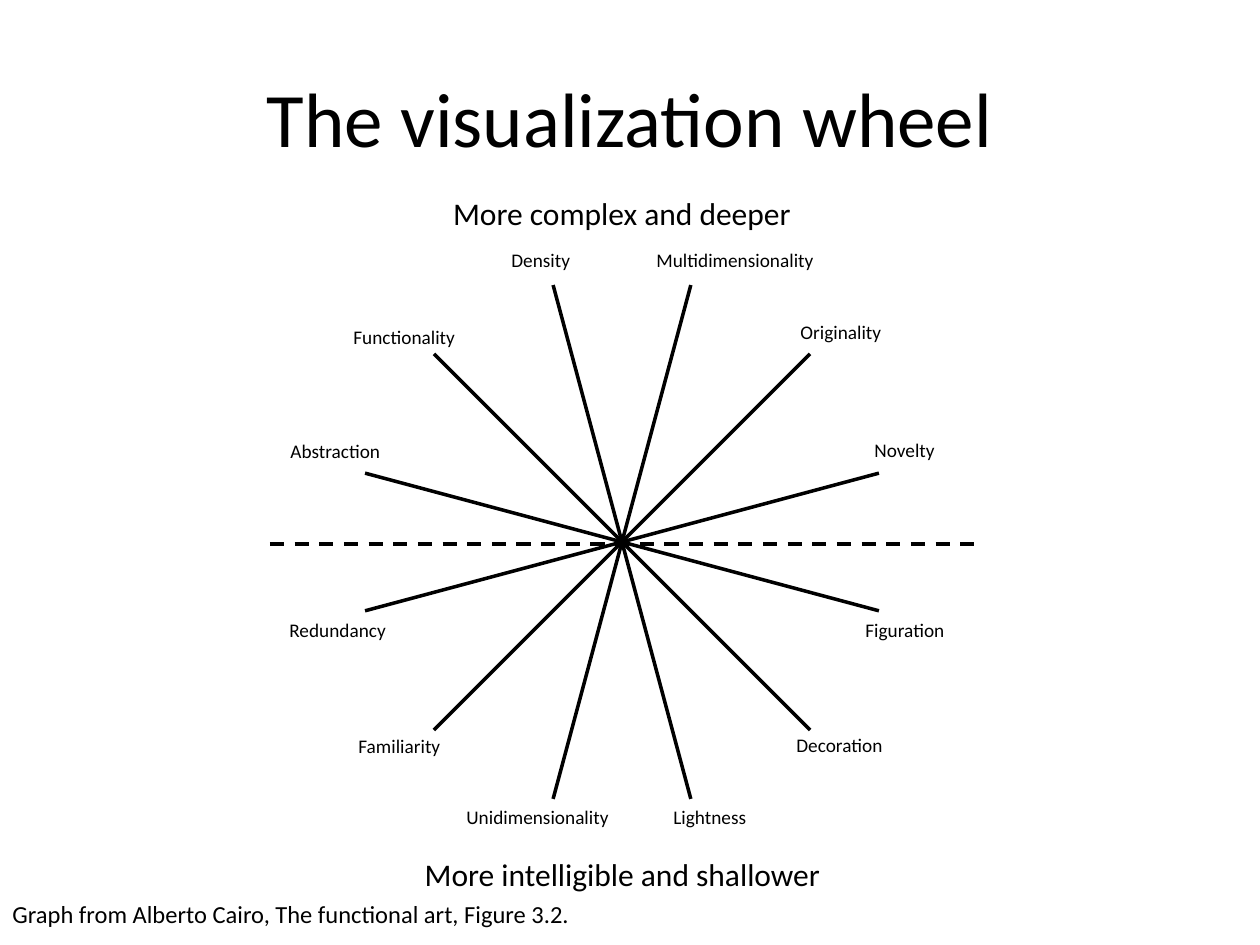
from dataclasses import dataclass
from math import cos, radians, sin

from lxml.etree import SubElement
from pptx import Presentation
from pptx.dml.color import RGBColor
from pptx.enum.dml import MSO_LINE
from pptx.enum.shapes import MSO_CONNECTOR
from pptx.enum.text import MSO_ANCHOR, MSO_AUTO_SIZE, PP_ALIGN
from pptx.oxml.ns import qn
from pptx.util import Pt

EMU_PER_PX = 914400 / 126


@dataclass(frozen=True)
class Theme:
    font: str = "Calibri"
    ink: RGBColor = RGBColor(0, 0, 0)
    title: int = 44
    heading: int = 18
    source: int = 14
    label: int = 11
    line: int = 2


THEME = Theme()

HUB = (622, 542)
RADIUS = 266
LABEL_HEIGHT = 37
# Label, left, top, width
QUALITIES = [
    ("Density", 499, 242, 86),
    ("Multidimensionality", 644, 242, 184),
    ("Originality", 788, 314, 107),
    ("Novelty", 862, 432, 87),
    ("Functionality", 341, 319, 129),
    ("Abstraction", 278, 433, 117),
    ("Figuration", 853, 612, 106),
    ("Decoration", 784, 727, 113),
    ("Lightness", 661, 799, 100),
    ("Redundancy", 277, 612, 123),
    ("Familiarity", 346, 728, 108),
    ("Unidimensionality", 454, 799, 169),
]


def px(length):
    return round(length * EMU_PER_PX)


def add_text(slide, words, box, size, align=PP_ALIGN.LEFT):
    """Add one unwrapped line of text and return its frame."""
    frame = slide.shapes.add_textbox(*map(px, box)).text_frame
    frame.word_wrap = False
    frame.auto_size = MSO_AUTO_SIZE.NONE
    paragraph = frame.paragraphs[0]
    paragraph.alignment = align
    run = paragraph.add_run()
    run.text = words
    run.font.name = THEME.font
    run.font.size = Pt(size)
    run.font.color.rgb = THEME.ink
    return frame


def add_line(slide, start, end):
    line = slide.shapes.add_connector(
        MSO_CONNECTOR.STRAIGHT, *map(px, (*start, *end)))
    line.line.color.rgb = THEME.ink
    line.line.width = Pt(THEME.line)
    SubElement(line._element.spPr, qn("a:effectLst"))
    return line


def add_wheel(slide):
    """Draw six diameters, 30 degrees apart, and the dashed divider."""
    x, y = HUB
    for angle in range(15, 180, 30):
        dx = RADIUS * cos(radians(angle))
        dy = RADIUS * sin(radians(angle))
        add_line(slide, (x - dx, y - dy), (x + dx, y + dy))
    divider = add_line(slide, (270, 544), (975, 544))
    divider.line.dash_style = MSO_LINE.DASH


def add_title(slide):
    title = add_text(slide, "The visualization wheel", (63, 38, 1134, 157),
                     THEME.title, PP_ALIGN.CENTER)
    title.word_wrap = True
    title.vertical_anchor = MSO_ANCHOR.MIDDLE


def add_source(slide):
    source = add_text(
        slide, "Graph from Alberto Cairo, The functional art, Figure 3.2.",
        (0, 886, 596, 60), THEME.source)
    source.margin_top = source.margin_bottom = source.margin_left


def main():
    deck = Presentation()
    deck.slide_width, deck.slide_height = px(1260), px(945)
    slide = deck.slides.add_slide(deck.slide_layouts[6])
    add_title(slide)
    add_wheel(slide)
    for quality, left, top, width in QUALITIES:
        add_text(slide, quality, (left, top, width, LABEL_HEIGHT), THEME.label)
    add_text(slide, "More complex and deeper", (438, 188, 368, 50),
             THEME.heading, PP_ALIGN.CENTER)
    add_text(slide, "More intelligible and shallower", (409, 849, 427, 50),
             THEME.heading, PP_ALIGN.CENTER)
    add_source(slide)
    deck.save("out.pptx")


if __name__ == "__main__":
    main()
